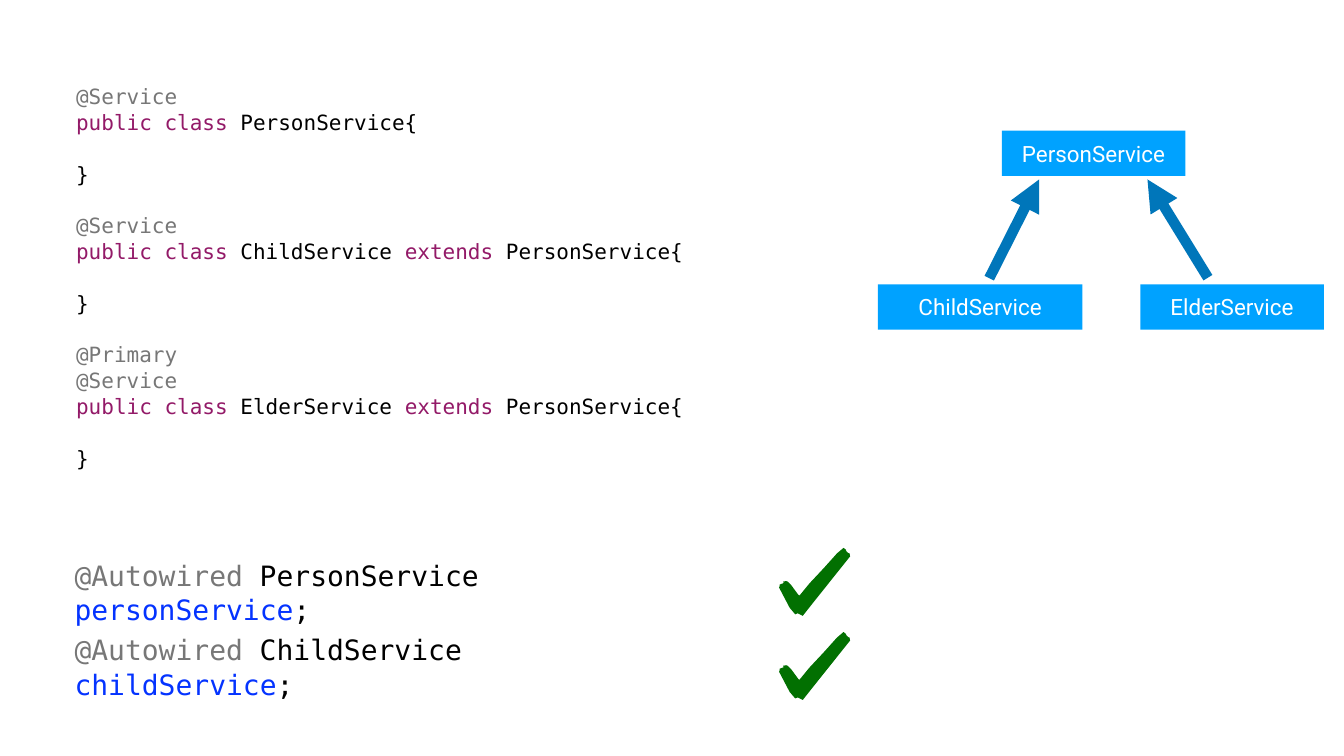
from collections import namedtuple

from pptx import Presentation
from pptx.dml.color import RGBColor
from pptx.enum.shapes import MSO_CONNECTOR, MSO_SHAPE
from pptx.enum.text import MSO_ANCHOR, PP_ALIGN
from pptx.oxml.ns import qn
from pptx.util import Inches, Pt
from lxml import etree

Box = namedtuple("Box", "left top width height")

COLORS = {
    "annotation": "777777",
    "keyword": "931A68",
    "plain": "000000",
    "field": "0433FF",
    "node": "00A2FF",
    "node_text": "FFFFFF",
    "arrow": "0076BA",
    "check": "027001",
}
CODE_FONT = "DejaVu Sans Mono"
LABEL_FONT = "Roboto"
CODE_LEADING = 1.03
CLASS_GAP = Pt(36)

CLASSES = [
    (["@Service"], "PersonService", None),
    (["@Service"], "ChildService", "PersonService"),
    (["@Primary", "@Service"], "ElderService", "PersonService"),
]
INJECTIONS = [
    ("PersonService", "personService", 49.23),
    ("ChildService", "childService", 46.72),
]
NODES = [
    ("PersonService", 27.8, 0, 41.13),
    ("ChildService", 0, 77.22, 45.88),
    ("ElderService", 58.87, 77.22, 41.13),
]
NODE_HEIGHT = 22.78
ARROWS = [
    ((24.97, 74.18), (36.16, 24.56)),
    ((74.01, 73.92), (60.45, 24.56)),
]
CHECK_WIDTH = 142
CHECK_OUTLINE = [
    (128, 0), (115, 11), (89, 40), (60, 71), (42, 93), (40, 95), (38, 93),
    (24, 74), (17, 67), (14, 66), (8, 67), (9, 70), (1, 73), (1, 76),
    (0, 79), (21, 119), (32, 132), (37, 130), (47, 135), (66, 111),
    (137, 22), (141, 17), (140, 11), (137, 10), (133, 6), (133, 4),
]


def color(name):
    return RGBColor.from_string(COLORS[name])


def point(box, x, y):
    return int(box.left + box.width * x / 100), int(box.top + box.height * y / 100)


def part(box, left, top, width, height):
    return Box(*point(box, left, top),
               int(box.width * width / 100), int(box.height * height / 100))


def add_code_box(page, box):
    frame = page.shapes.add_textbox(*box).text_frame
    frame.word_wrap = True
    frame.vertical_anchor = MSO_ANCHOR.MIDDLE
    frame.margin_left = frame.margin_right = Inches(0.06)
    frame.margin_top = frame.margin_bottom = Inches(0.06)
    return frame


def write_code(para, spans, size):
    para.line_spacing = CODE_LEADING
    for text, role in spans:
        span = para.add_run()
        span.text = text
        span.font.name = CODE_FONT
        span.font.size = Pt(size)
        span.font.color.rgb = color(role)


def class_lines(annotations, name, parent):
    header = [("public class", "keyword")]
    if parent:
        header += [(f" {name} ", "plain"), ("extends", "keyword"), (f" {parent}{{", "plain")]
    else:
        header.append((f" {name}{{", "plain"))
    marks = [[(text, "annotation")] for text in annotations]
    return marks + [header, [("    ", "plain")], [("}", "plain")]]


def add_class_code(page, box):
    frame = add_code_box(page, box)
    para = frame.paragraphs[0]
    for class_index, declaration in enumerate(CLASSES):
        for line_index, spans in enumerate(class_lines(*declaration)):
            if class_index or line_index:
                para = frame.add_paragraph()
            if class_index and not line_index:
                para.space_before = CLASS_GAP
            write_code(para, spans, 30)


def add_node(page, box, label):
    node = page.shapes.add_shape(MSO_SHAPE.RECTANGLE, *box)
    node.shadow.inherit = False
    node.fill.solid()
    node.fill.fore_color.rgb = color("node")
    node.line.fill.background()
    frame = node.text_frame
    frame.margin_left = frame.margin_right = frame.margin_top = frame.margin_bottom = 0
    frame.vertical_anchor = MSO_ANCHOR.MIDDLE
    frame.text = label
    para = frame.paragraphs[0]
    para.alignment = PP_ALIGN.CENTER
    font = para.runs[0].font
    font.name = LABEL_FONT
    font.size = Pt(32)
    font.color.rgb = color("node_text")


def add_arrow(page, start, end):
    arrow = page.shapes.add_connector(MSO_CONNECTOR.STRAIGHT, *start, *end)
    arrow.line.color.rgb = color("arrow")
    arrow.line.width = Pt(15)
    etree.SubElement(arrow.line._get_or_add_ln(), qn("a:tailEnd"), type="triangle")
    etree.SubElement(arrow._element.spPr, qn("a:effectLst"))


def add_hierarchy(page, box):
    for label, left, top, width in NODES:
        add_node(page, part(box, left, top, width, NODE_HEIGHT), label)
    for start, end in ARROWS:
        add_arrow(page, point(box, *start), point(box, *end))


def add_check(page, box):
    builder = page.shapes.build_freeform(*CHECK_OUTLINE[0], scale=box.width / CHECK_WIDTH)
    builder.add_line_segments(CHECK_OUTLINE[1:], close=True)
    check = builder.convert_to_shape(box.left, box.top)
    check.shadow.inherit = False
    check.fill.solid()
    check.fill.fore_color.rgb = color("check")
    check.line.fill.background()


def add_injections(page, box):
    for row, (kind, field, width) in enumerate(INJECTIONS):
        frame = add_code_box(page, part(box, 5.32, 75.6 + 9.87 * row, width, 5.33))
        write_code(frame.paragraphs[0], [
            ("@Autowired ", "annotation"), (f"{kind} ", "plain"),
            (field, "field"), (";", "plain"),
        ], 40)
        add_check(page, part(box, 57.97, 72.47 + 11.13 * row, 5.32, 9))


def main():
    deck = Presentation()
    deck.slide_width = Inches(26.67)
    deck.slide_height = Inches(15)
    page = deck.slides.add_slide(deck.slide_layouts[6])
    whole = Box(0, 0, deck.slide_width, deck.slide_height)
    add_class_code(page, part(whole, 5.44, 7.13, 46.42, 58.87))
    add_hierarchy(page, part(whole, 65.32, 17.27, 33.18, 26.33))
    add_injections(page, whole)
    deck.save("out.pptx")


if __name__ == "__main__":
    main()
